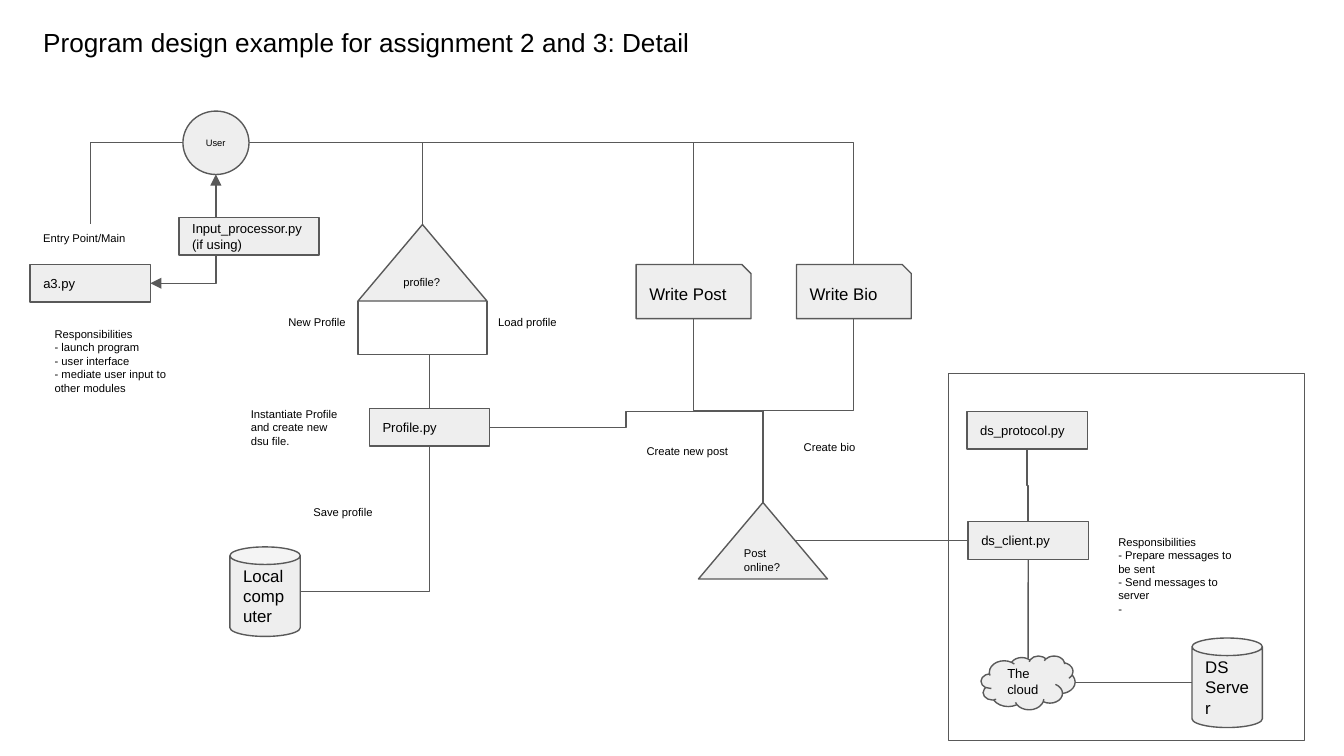
import pptx
import pptx.dml.color
import pptx.enum.dml
import pptx.enum.shapes
import pptx.enum.text
import pptx.oxml
import pptx.oxml.ns
import pptx.util

Pt = pptx.util.Pt
SHAPE = pptx.enum.shapes.MSO_SHAPE
CONNECTOR = pptx.enum.shapes.MSO_CONNECTOR
ANCHOR = pptx.enum.text.MSO_ANCHOR
AUTO_SIZE = pptx.enum.text.MSO_AUTO_SIZE

BLACK = pptx.dml.color.RGBColor(0x00, 0x00, 0x00)
LIGHT_GRAY = pptx.dml.color.RGBColor(0xEE, 0xEE, 0xEE)
DARK_GRAY = pptx.dml.color.RGBColor(0x59, 0x59, 0x59)

FRAME_FORMAT = {
    "margin_left": Pt(7.2),
    "margin_right": Pt(7.2),
    "margin_top": Pt(7.2),
    "margin_bottom": Pt(7.2),
    "word_wrap": True,
}
NODE_FORMAT = {**FRAME_FORMAT, "vertical_anchor": ANCHOR.MIDDLE, "auto_size": AUTO_SIZE.NONE}
LABEL_FORMAT = {**FRAME_FORMAT, "vertical_anchor": ANCHOR.TOP, "auto_size": AUTO_SIZE.SHAPE_TO_FIT_TEXT}

MODULE = (64.5, 20.2)
DECISION = (69.1, 41)
CARD = (61.5, 29)
STORE = (37.7, 48)

NODES = [
    ("a3.py", SHAPE.RECTANGLE, 7, (16.1, 141.7), MODULE),
    ("ds_client.py", SHAPE.RECTANGLE, 7, (518.6, 279.4), MODULE),
    ("ds_protocol.py", SHAPE.RECTANGLE, 7, (518, 220.4), MODULE),
    ("Profile.py", SHAPE.RECTANGLE, 7, (197.9, 218.8), MODULE),
    ("Input_processor.py (if using)", SHAPE.RECTANGLE, 7, (95.9, 116.5), (75, 20.2)),
    ("User", SHAPE.OVAL, 5, (98, 59.5), (35.4, 34)),
    ("profile?", SHAPE.ISOSCELES_TRIANGLE, 6, (191.8, 120.3), DECISION),
    ("Post online?", SHAPE.ISOSCELES_TRIANGLE, 6, (374.2, 269.2), DECISION),
    ("Write Post", SHAPE.SNIP_1_RECTANGLE, 9, (340.8, 141.7), CARD),
    ("Write Bio", SHAPE.SNIP_1_RECTANGLE, 9, (426.7, 141.7), CARD),
    ("Local computer", SHAPE.CAN, 9, (123.2, 293), STORE),
    ("DS Server", SHAPE.CAN, 9, (638.6, 341.8), STORE),
    ("The cloud", SHAPE.CLOUD, 7, (525.6, 351.4), (50.4, 28.8)),
]

LABELS = [
    (["Program design example for assignment 2 and 3: Detail"], 14, (16.1, 7.2), (413, 31.7)),
    (["Entry Point/Main"], 6, (16.1, 120.2), (64.8, 21.6)),
    (["Responsibilities", "- launch program", "- user interface",
      "- mediate user input to other modules"], 6, (22.2, 168), (75.6, 51)),
    (["Instantiate Profile and create new dsu file."], 6, (127.3, 211), (64.8, 36)),
    (["Save profile"], 6, (160.8, 267.3), (64.8, 21.6)),
    (["New Profile"], 6, (147.4, 165.2), (64.8, 21.6)),
    (["Load profile"], 6, (259.8, 165.2), (64.8, 21.6)),
    (["Create new post"], 6, (339.3, 234.5), (64.8, 21.6)),
    (["Create bio"], 6, (423.5, 232.4), (64.8, 21.6)),
    (["Responsibilities", "- Prepare messages to be sent", "- Send messages to server", "-"],
     6, (592, 279.4), (75.6, 58.3)),
]

USER_RIGHT = (133.4, 76.5)
PROFILE_TOP = (230.2, 218.8)
POST_ONLINE_TOP = (408.7, 269.2)

ELBOWS = [
    ((98, 76.5), (48.4, 120.2), 2, False),
    (USER_RIGHT, (226.3, 120.3), 2, False),
    (USER_RIGHT, (371.5, 141.7), 2, False),
    (USER_RIGHT, (457.4, 141.7), 2, False),
    ((191.8, 161.3), PROFILE_TOP, 3, True),
    ((260.9, 161.3), PROFILE_TOP, 3, True),
    ((230.2, 239), (160.9, 317), 2, True),
    ((408.4, 220.4), (262.4, 228.9), 3, False),
    ((371.5, 170.7), POST_ONLINE_TOP, 3, True),
    ((457.4, 170.7), POST_ONLINE_TOP, 3, True),
    ((550.8, 279.4), (550.2, 240.6), 3, True),
]


def apply_format(target, values):
    for name, value in values.items():
        setattr(target, name, value)


def write_text(box, lines, size, frame_format):
    frame = box.text_frame
    apply_format(frame, frame_format)
    for index, line in enumerate(lines):
        para = frame.paragraphs[0] if index == 0 else frame.add_paragraph()
        para.alignment = pptx.enum.text.PP_ALIGN.LEFT
        span = para.add_run()
        span.text = line
        apply_format(span.font, {"name": "Arial", "size": Pt(size)})
        span.font.color.rgb = BLACK


def draw_outline(item):
    item.line.color.rgb = DARK_GRAY
    item.line.width = Pt(0.75)


def add_outlined_shape(page, kind, position, size):
    box = page.shapes.add_shape(kind, *map(Pt, position + size))
    box.shadow.inherit = False
    draw_outline(box)
    return box


def add_node(page, text, kind, font_size, position, size):
    box = add_outlined_shape(page, kind, position, size)
    box.fill.solid()
    box.fill.fore_color.rgb = LIGHT_GRAY
    write_text(box, [text], font_size, NODE_FORMAT)
    return box


def add_label(page, lines, font_size, position, size):
    box = page.shapes.add_textbox(*map(Pt, position + size))
    write_text(box, lines, font_size, LABEL_FORMAT)


def add_line(page, kind, start, end):
    line = page.shapes.add_connector(kind, *map(Pt, start + end))
    draw_outline(line)
    line.element.spPr.append(pptx.oxml.parse_xml(
        f"<a:effectLst {pptx.oxml.ns.nsdecls('a')}/>"))
    return line


def add_elbow(page, start, end, legs, vertical_first):
    if vertical_first:
        middle_x, middle_y = (start[0] + end[0]) / 2, (start[1] + end[1]) / 2
        half_x, half_y = (end[0] - start[0]) / 2, (end[1] - start[1]) / 2
        start = (middle_x - half_y, middle_y + half_x)
        end = (middle_x + half_y, middle_y - half_x)
    line = add_line(page, CONNECTOR.ELBOW, start, end)
    properties = line.element.spPr
    properties.find(pptx.oxml.ns.qn("a:prstGeom")).set("prst", f"bentConnector{legs}")
    if vertical_first:
        properties.find(pptx.oxml.ns.qn("a:xfrm")).set("rot", "5400000")
    return line


def add_arrowheads(line):
    outline = line.element.spPr.find(pptx.oxml.ns.qn("a:ln"))
    for tag in ("headEnd", "tailEnd"):
        outline.append(pptx.oxml.parse_xml(
            f"<a:{tag} {pptx.oxml.ns.nsdecls('a')} type='triangle'/>"))


def main():
    deck = pptx.Presentation()
    deck.slide_width, deck.slide_height = Pt(720), Pt(405)
    page = deck.slides.add_slide(deck.slide_layouts[6])

    server_area = add_outlined_shape(page, SHAPE.RECTANGLE, (508.2, 200.2), (190.7, 196.6))
    server_area.fill.background()

    add_arrowheads(add_elbow(page, (80.6, 151.8), (115.7, 93.5), 2, False))
    for elbow in ELBOWS:
        add_elbow(page, *elbow)

    nodes = {node[0]: add_node(page, *node) for node in NODES}
    for label in LABELS:
        add_label(page, *label)

    client = nodes["ds_client.py"]
    to_cloud = add_line(page, CONNECTOR.STRAIGHT, (550.8, 299.6), (550.8, 352.8))
    to_cloud.begin_connect(client, 2)
    to_client = add_line(page, CONNECTOR.STRAIGHT, (426, 289.5), (518.6, 289.5))
    to_client.end_connect(client, 1)
    add_line(page, CONNECTOR.STRAIGHT, (576, 365.8), (638.6, 365.8))

    deck.save("out.pptx")


if __name__ == "__main__":
    main()
